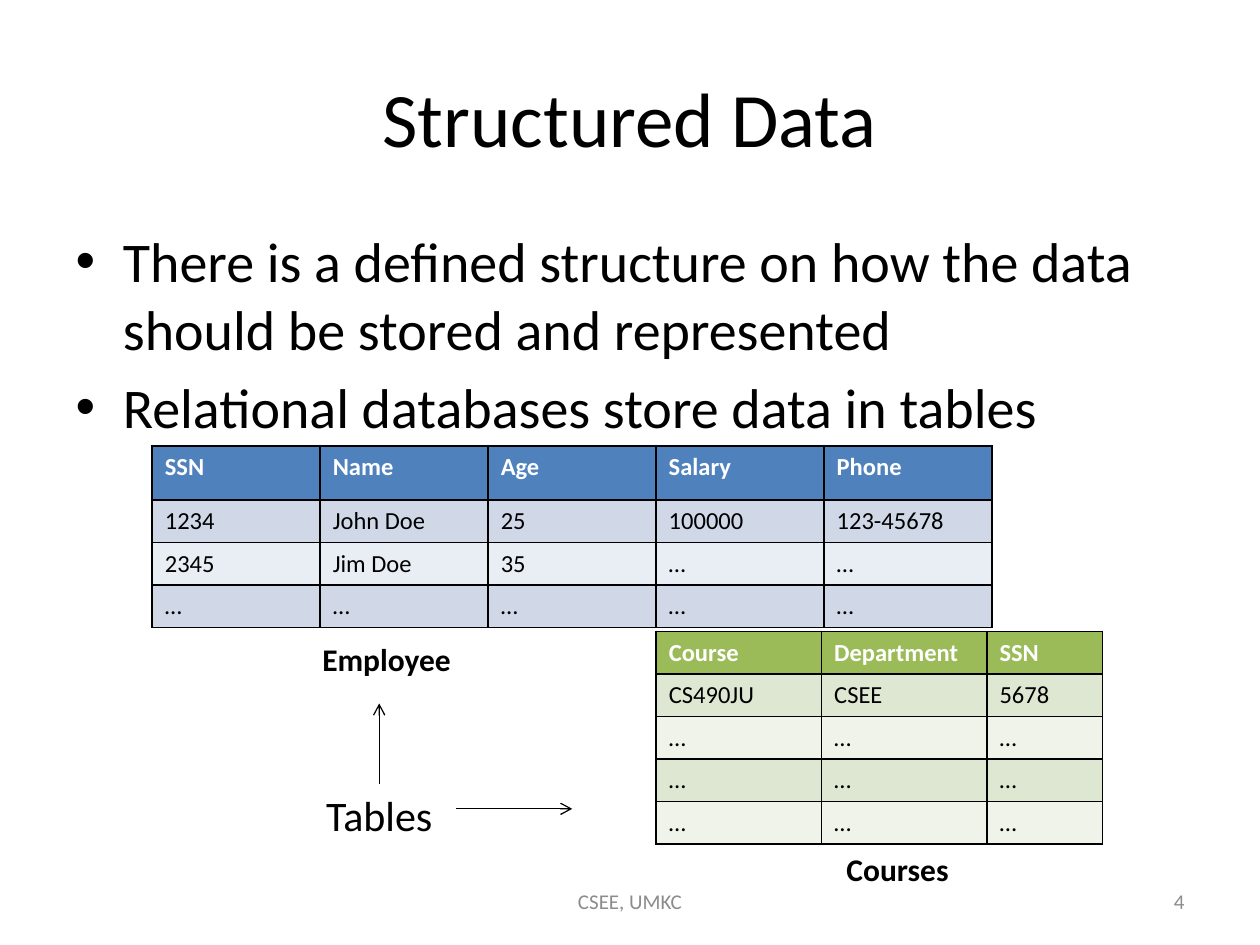
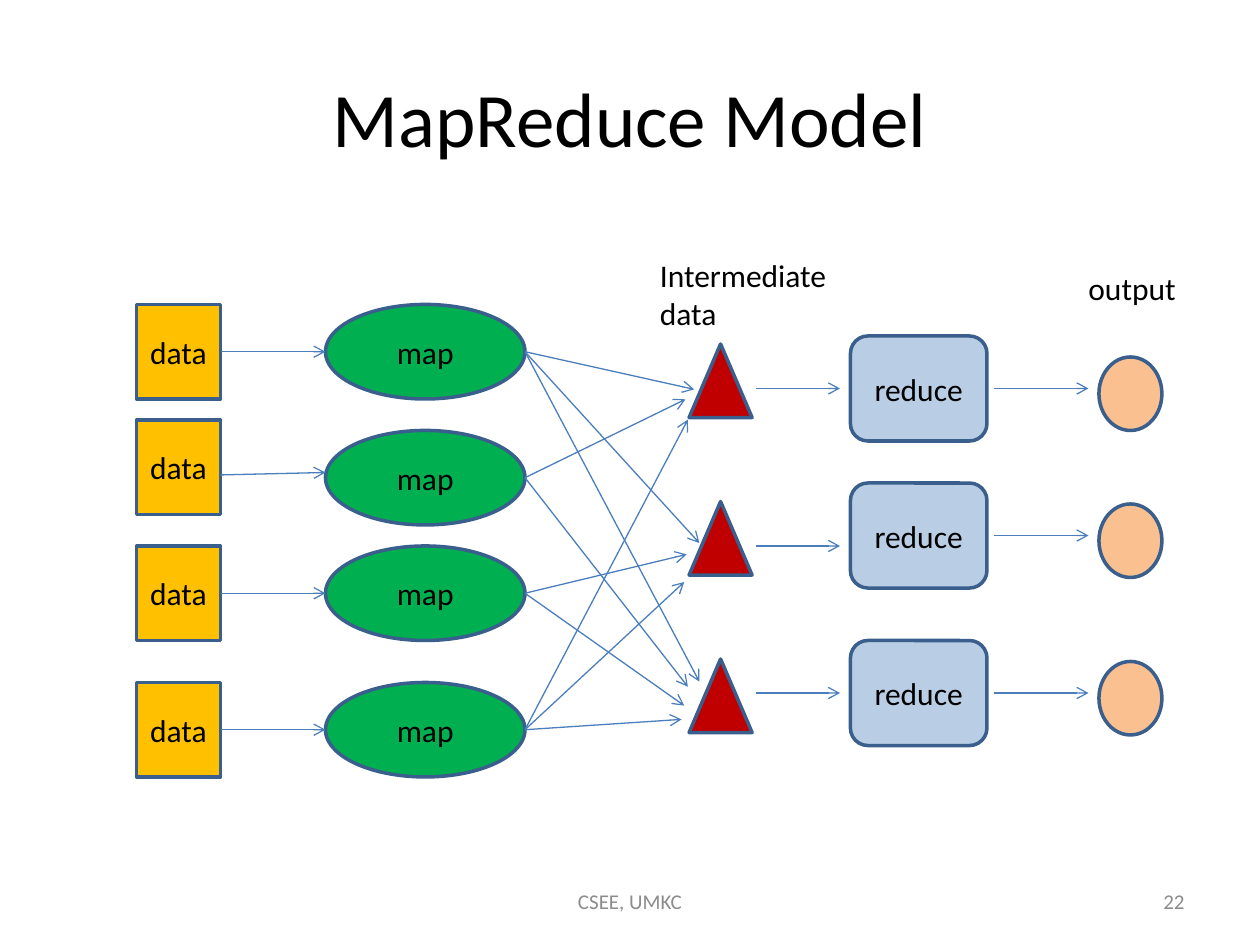
"""Builds two slides on structured data and the MapReduce model."""
from lxml import etree
from pptx import Presentation
from pptx.dml.color import RGBColor as RGB
from pptx.enum.shapes import MSO_CONNECTOR, MSO_SHAPE as SHAPE
from pptx.enum.text import MSO_ANCHOR as ANCHOR, MSO_AUTO_SIZE as AUTO, PP_ALIGN as ALIGN
from pptx.oxml import parse_xml
from pptx.oxml.ns import nsdecls, qn
from pptx.util import Pt

FONT = "Calibri"
C = {
    "black": "000000", "white": "FFFFFF", "grey": "8C8C8C",
    "outline": "3A5F8C", "arrow": "4B7EBC",
    "data": "FFC000", "map": "00B050", "triangle": "C00000",
    "reduce": "B9CDE5", "output": "FAC090",
    "blue": "4F81BD", "blue_mid": "D0D8E8", "blue_pale": "E9EDF4",
    "green": "9BBB59", "green_mid": "DEE7D1", "green_pale": "EFF3EA",
}


def write(tf, text, size, color="black", align=ALIGN.LEFT, bold=False):
    tf.text = text
    for p in tf.paragraphs:
        p.alignment = align
        p.font.name, p.font.size, p.font.bold = FONT, Pt(size), bold
        p.font.color.rgb = RGB.from_string(C[color])


def add_arrow(s, x1, y1, x2, y2, color="arrow"):
    line = s.shapes.add_connector(MSO_CONNECTOR.STRAIGHT, Pt(x1), Pt(y1), Pt(x2), Pt(y2))
    line.line.width = Pt(0.75)
    line.line.color.rgb = RGB.from_string(C[color])
    etree.SubElement(line.line._get_or_add_ln(), qn("a:tailEnd"), type="arrow")
    etree.SubElement(line._element.spPr, qn("a:effectLst"))


prs = Presentation()
prs.slide_width, prs.slide_height = Pt(720), Pt(540)

slides = []
for layout, title, number in [(1, "Structured Data", "4"), (5, "MapReduce Model", "22")]:
    s = prs.slides.add_slide(prs.slide_layouts[layout])
    slides.append(s)
    sp = s.shapes.title
    sp.left, sp.top, sp.width, sp.height = Pt(36), Pt(21.6), Pt(648), Pt(90)
    sp.text_frame.vertical_anchor = ANCHOR.MIDDLE
    write(sp.text_frame, title, 44, align=ALIGN.CENTER)
    for x, w, text, align in [(246, 228, "CSEE, UMKC", ALIGN.CENTER),
                              (516, 168, number, ALIGN.RIGHT)]:
        tf = s.shapes.add_textbox(Pt(x), Pt(500.5), Pt(w), Pt(28.75)).text_frame
        tf.word_wrap = True
        tf.vertical_anchor = ANCHOR.MIDDLE
        write(tf, text, 12, "grey", align)
structured, mapreduce = slides

body = structured.placeholders[1]
body.left, body.top, body.width, body.height = Pt(36), Pt(126), Pt(648), Pt(356.4)
write(body.text_frame, "There is a defined structure on how the data should be stored and "
      "represented\nRelational databases store data in tables", 32)

employee = [
    ["SSN", "Name", "Age", "Salary", "Phone"],
    ["1234", "John Doe", "25", "100000", "123-45678"],
    ["2345", "Jim Doe", "35", "…", "…"],
    ["…"] * 5,
]
courses = [["Course", "Department", "SSN"], ["CS490JU", "CSEE", "5678"]] + [["…"] * 3] * 3
ROW_H = 24.3
for rows, x, y, widths, head_h, hue in [
    (employee, 87, 254.8, [96] * 5, 31, "blue"),
    (courses, 375, 360.8, [94.5, 94.5, 66], ROW_H, "green"),
]:
    height = head_h + ROW_H * (len(rows) - 1)
    table = structured.shapes.add_table(len(rows), len(widths), Pt(x), Pt(y),
                                        Pt(sum(widths)), Pt(height)).table
    for column, w in zip(table.columns, widths):
        column.width = Pt(w)
    for i, values in enumerate(rows):
        table.rows[i].height = Pt(ROW_H if i else head_h)
        fill = hue if i == 0 else hue + ("_mid" if i % 2 else "_pale")
        for j, value in enumerate(values):
            cell = table.cell(i, j)
            write(cell.text_frame, value, 14, "black" if i else "white", bold=i == 0)
            tcPr = cell._tc.get_or_add_tcPr()
            for side in ("lnL", "lnR", "lnT", "lnB"):
                tcPr.append(parse_xml(
                    f'<a:{side} {nsdecls("a")} w="12700"><a:solidFill>'
                    f'<a:srgbClr val="{C["black"]}"/></a:solidFill></a:{side}>'))
            cell.fill.solid()
            cell.fill.fore_color.rgb = RGB.from_string(C[fill])

add_arrow(structured, 260.6, 462.2, 327, 462.2, "black")
add_arrow(structured, 216.7, 448, 216.7, 402, "black")

for s, x, y, w, h, text, size, bold in [
    (structured, 179.3, 447.8, 76.3, 36, "Tables", 24, False),
    (structured, 177.1, 362.2, 88.6, 29, "Employee", 18, True),
    (structured, 476.6, 482.4, 73.4, 29, "Courses", 18, True),
    (mapreduce, 370, 142.6, 110, 51, "Intermediate\ndata", 18, False),
    (mapreduce, 614.9, 150, 64.8, 29, "output", 18, False),
]:
    tf = s.shapes.add_textbox(Pt(x), Pt(y), Pt(w), Pt(h)).text_frame
    tf.word_wrap = False
    tf.auto_size = AUTO.SHAPE_TO_FIT_TEXT
    write(tf, text, size, bold=bold)

for kind, preset, x, w, h, tops, label in [
    ("data", SHAPE.RECTANGLE, 78, 48, 54, (174, 240, 312, 390), "data"),
    ("map", SHAPE.OVAL, 186, 114, 54, (174, 246, 312, 390), "map"),
    ("reduce", SHAPE.ROUNDED_RECTANGLE, 486, 78, 60, (192, 276, 366), "reduce"),
    ("triangle", SHAPE.ISOSCELES_TRIANGLE, 393.8, 36, 42, (196.6, 286.6, 376.6), ""),
    ("output", SHAPE.OVAL, 628, 36, 42, (204, 288, 378), ""),
]:
    for top in tops:
        sp = mapreduce.shapes.add_shape(preset, Pt(x), Pt(top), Pt(w), Pt(h))
        sp.shadow.inherit = False
        sp.fill.solid()
        sp.fill.fore_color.rgb = RGB.from_string(C[kind])
        sp.line.color.rgb = RGB.from_string(C["outline"])
        sp.line.width = Pt(2)
        if label:
            sp.text_frame.word_wrap = False
            sp.text_frame.vertical_anchor = ANCHOR.MIDDLE
            write(sp.text_frame, label, 18, align=ALIGN.CENTER)

for x1, x2, levels in [
    (126, 186, [(201, 201), (271.4, 270), (339, 339), (417, 417)]),
    (432, 480, [(222, 222), (312, 312), (396, 396)]),
    (568, 622, [(222, 222), (306, 306), (396, 396)]),
]:
    for y1, y2 in levels:
        add_arrow(mapreduce, x1, y1, x2, y2)

for y1, targets in [
    (201, [(396.7, 222.5), (399.6, 310.3), (399.6, 389.5)]),
    (273, [(391.7, 228.2), (393.1, 392.4)]),
    (339, [(392.4, 316.8), (391, 403.2)]),
    (417, [(393.1, 239.8), (391, 332.6), (389.5, 411.1)]),
]:
    for x2, y2 in targets:
        add_arrow(mapreduce, 300, y1, x2, y2)

prs.save("out.pptx")
